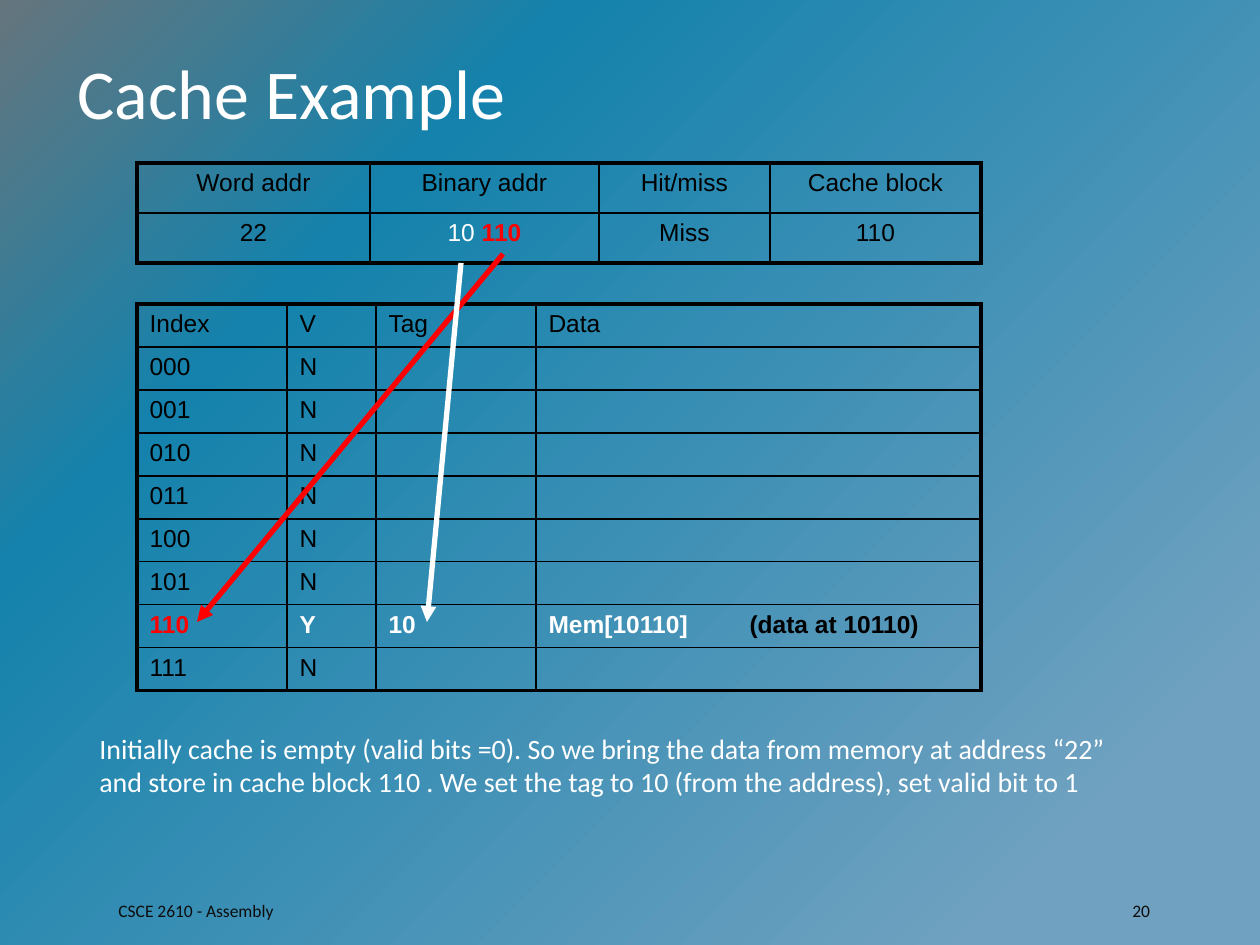
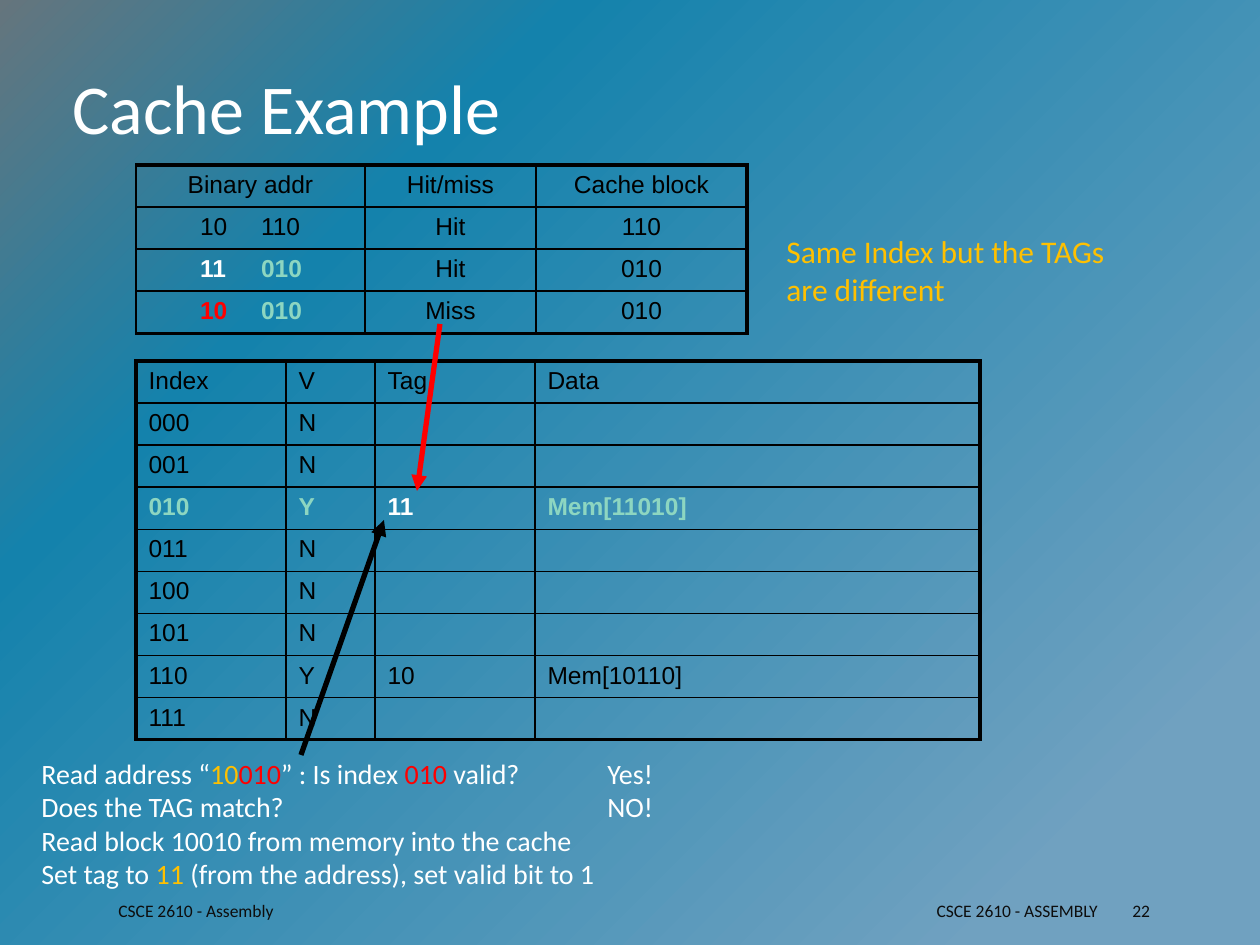
from lxml.etree import SubElement
from pptx import Presentation
from pptx.dml.color import RGBColor
from pptx.enum.shapes import MSO_CONNECTOR
from pptx.enum.text import MSO_ANCHOR as Anchor, MSO_AUTO_SIZE as AutoSize, PP_ALIGN as Align
from pptx.oxml import parse_xml
from pptx.oxml.ns import nsdecls, qn
from pptx.util import Emu, Pt

PX = 914400 / 126
TITLE_ONLY = 5

BLACK = RGBColor(0x00, 0x00, 0x00)
WHITE = RGBColor(0xFF, 0xFF, 0xFF)
RED = RGBColor(0xFF, 0x00, 0x00)
GOLD = RGBColor(0xFF, 0xC0, 0x00)
MINT = RGBColor(0x8D, 0xD6, 0xC1)
FOOTER_INK = RGBColor(0x0D, 0x0D, 0x0D)
BACKGROUND_STOPS = [
    (13, RGBColor(0x70, 0xA1, 0xC0)),
    (74, RGBColor(0x14, 0x82, 0xAC)),
    (100, RGBColor(0x65, 0x75, 0x7D)),
]

BODY_FONT, TABLE_FONT = "Calibri", "Arial"
TABLE_SIZE = 14
THICK, MEDIUM, THIN = 2.25, 1.5, 1

# Column widths and the offset between the two halves of an address
CACHE_COLUMNS = [150, 89, 160, 445]
WORD_COLUMN = 233
ADDRESS_COLUMNS = [229, 171, 211]
ADDRESS_MARGIN, INDEX_TAB = 64, 61
DATA_TAB = 201
ANSWER_TAB = 566


def px(length):
    return Emu(round(length * PX))


# Text
def add_span(para, text, font=BODY_FONT, size=16, color=WHITE, bold=False):
    span = para.add_run()
    span.text = text
    span.font.name = font
    span.font.size = Pt(size)
    span.font.color.rgb = color
    span.font.bold = bold


def add_spans(para, content, **base):
    """Fill a paragraph from a string or a list of (text, format) pairs."""
    spans = [(content, {})] if isinstance(content, str) else content
    for text, changes in spans:
        add_span(para, text, **{**base, **changes})


def set_tab(para, position):
    stops = SubElement(para._p.get_or_add_pPr(), qn("a:tabLst"))
    SubElement(stops, qn("a:tab"), pos=str(px(position)), algn="l")


def add_text(slide, frame, lines, align=Align.LEFT, anchor=Anchor.TOP, tab=None, **base):
    box = slide.shapes.add_textbox(*map(px, frame))
    box.text_frame.word_wrap = True
    box.text_frame.vertical_anchor = anchor
    for number, line in enumerate(lines):
        para = box.text_frame.add_paragraph() if number else box.text_frame.paragraphs[0]
        para.alignment = align
        if tab:
            set_tab(para, tab)
        add_spans(para, line, **base)


# Tables
def draw_borders(cell, widths):
    properties = cell._tc.get_or_add_tcPr()
    for side, width in zip("LRTB", widths):
        line = SubElement(properties, qn(f"a:ln{side}"), w=str(Pt(width)))
        fill = SubElement(line, qn("a:solidFill"))
        SubElement(fill, qn("a:srgbClr"), val=str(BLACK))


def fill_cell(cell, content, align):
    para = cell.text_frame.paragraphs[0]
    para.alignment = align
    if content:
        add_spans(para, content, font=TABLE_FONT, size=TABLE_SIZE, color=BLACK)
    else:
        SubElement(para._p, qn("a:endParaRPr"), sz=str(TABLE_SIZE * 100))


def add_grid(slide, left, top, columns, row_height, rows,
             align=Align.LEFT, left_edge=THICK, row_line=THIN):
    frame = slide.shapes.add_table(len(rows), len(columns), px(left), px(top),
                                   px(sum(columns)), px(row_height * len(rows)))
    table = frame.table
    table.first_row = table.horz_banding = False
    for column, width in zip(table.columns, columns):
        column.width = px(width)
    # Horizontal lines from the top edge down, vertical lines from the left edge across
    across = [THICK, MEDIUM] + [row_line] * (len(rows) - 2) + [THICK]
    down = [left_edge] + [THIN] * (len(columns) - 1) + [THICK]
    for r, contents in enumerate(rows):
        table.rows[r].height = px(row_height)
        for c, content in enumerate(contents):
            cell = table.cell(r, c)
            fill_cell(cell, content, align)
            draw_borders(cell, (down[c], down[c + 1], across[r], across[r + 1]))
            cell.fill.background()
    return table


def add_cache(slide, left, top, row_height, filled):
    """Eight cache blocks; filled maps a block number to its row."""
    rows = [["Index", "V", "Tag", "Data"]]
    for block in range(8):
        rows.append(filled.get(block, [f"{block:03b}", "N", "", ""]))
    return add_grid(slide, left, top, CACHE_COLUMNS, row_height, rows)


def bold(text, color):
    return text, {"color": color, "bold": True}


def tint(text, color):
    return text, {"color": color}


# Arrows
def add_arrow(slide, start, end, color):
    arrow = slide.shapes.add_connector(MSO_CONNECTOR.STRAIGHT, *map(px, start + end))
    arrow.line.color.rgb = color
    arrow.line.width = Pt(3)
    SubElement(arrow.line._get_or_add_ln(), qn("a:tailEnd"), type="triangle")
    SubElement(arrow._element.spPr, qn("a:effectLst"))


# Shared look
def paint_background(master):
    master.background.fill.solid()
    stops = "".join(
        f'<a:gs pos="{position * 1000}"><a:srgbClr val="{color}"/></a:gs>'
        for position, color in BACKGROUND_STOPS)
    gradient = parse_xml(
        f'<a:gradFill {nsdecls("a")} rotWithShape="1"><a:gsLst>{stops}</a:gsLst>'
        '<a:path path="circle"><a:fillToRect l="100000" t="100000"/></a:path></a:gradFill>')
    properties = master.element.xpath("p:cSld/p:bg/p:bgPr")[0]
    properties.replace(properties[0], gradient)


def add_footer(slide, frame, text, align=Align.LEFT):
    add_text(slide, frame, [text], align=align, anchor=Anchor.MIDDLE, size=10, color=FOOTER_INK)


def add_page(deck, title_left, title_top, number):
    slide = deck.slides.add_slide(deck.slide_layouts[TITLE_ONLY])
    title = slide.shapes.title
    title.left, title.top, title.width, title.height = map(px, (title_left, title_top, 1138, 105))
    title.text_frame.auto_size = AutoSize.NONE
    title.text_frame.vertical_anchor = Anchor.MIDDLE
    para = title.text_frame.paragraphs[0]
    para.alignment = Align.LEFT
    add_span(para, "Cache Example", size=40)
    add_footer(slide, (106, 892, 223, 38), "CSCE 2610 - Assembly")
    add_footer(slide, (1120, 892, 101, 38), number)
    return slide


# Slides
def build_first_miss(deck):
    slide = add_page(deck, 65, 39, "20")
    cache = add_cache(slide, 137, 304, 43, {
        6: [[bold("110", RED)], [bold("Y", WHITE)], [bold("10", WHITE)],
            [bold("Mem[10110]\t", WHITE), bold("(data at 10110)", BLACK)]],
    })
    set_tab(cache.cell(7, 3).text_frame.paragraphs[0], DATA_TAB)
    add_grid(slide, 137, 163, [WORD_COLUMN] + ADDRESS_COLUMNS, 50, [
        ["Word addr", "Binary addr", "Hit/miss", "Cache block"],
        ["22", [tint("10 ", WHITE), bold("110", RED)], "Miss", "110"],
    ], align=Align.CENTER)
    add_arrow(slide, (503, 254), (197, 622), RED)
    add_arrow(slide, (461, 263), (427, 622), WHITE)
    add_text(slide, (87, 725, 1060, 81), [
        "Initially cache is empty (valid bits =0). So we bring the data from memory at address "
        "“22” and store in cache block 110 . We set the tag to 10 (from the address), "
        "set valid bit to 1"])


def build_tag_mismatch(deck):
    slide = add_page(deck, 60, 54, "22")
    add_footer(slide, (500, 892, 610, 38), "CSCE 2610 - ASSEMBLY", align=Align.RIGHT)
    add_cache(slide, 136, 361, 40, {
        2: [[bold("010", MINT)], [bold("Y", MINT)], [bold("11", WHITE)],
            [bold("Mem[11010]", MINT)]],
        6: ["110", "Y", "10", "Mem[10110]"],
    })
    accesses = add_grid(slide, 136, 165, ADDRESS_COLUMNS, 42, [
        ["Binary addr", "Hit/miss", "Cache block"],
        ["10\t110", "Hit", "110"],
        [[bold("11\t", WHITE), bold("010", MINT)], "Hit", "010"],
        [[bold("10\t", RED), bold("010", MINT)], "Miss", "010"],
    ], align=Align.CENTER, left_edge=THIN, row_line=MEDIUM)
    # Line up tag and index in the address column
    for row in range(1, 4):
        cell = accesses.cell(row, 0)
        cell.margin_left = px(ADDRESS_MARGIN)
        para = cell.text_frame.paragraphs[0]
        para.alignment = Align.LEFT
        set_tab(para, INDEX_TAB)
    add_text(slide, (774, 226, 350, 89), ["Same Index but the TAGs are different"],
             size=18, color=GOLD)
    add_arrow(slide, (301, 755), (384, 520), BLACK)
    add_arrow(slide, (440, 324), (417, 491), RED)
    add_text(slide, (29, 750, 702, 149), [
        [("Read address “", {}), tint("10", GOLD), tint("010", RED), ("” : Is index ", {}),
         tint("010", RED), (" valid?\tYes!", {})],
        "Does the TAG match?\tNO!",
        "Read block 10010 from memory into the cache",
        [("Set tag to ", {}), tint("11", GOLD), (" (from the address), set valid bit to 1", {})],
    ], tab=ANSWER_TAB)


def main():
    deck = Presentation()
    deck.slide_width, deck.slide_height = px(1260), px(945)
    paint_background(deck.slide_master)
    build_first_miss(deck)
    build_tag_mismatch(deck)
    deck.save("out.pptx")


if __name__ == "__main__":
    main()
